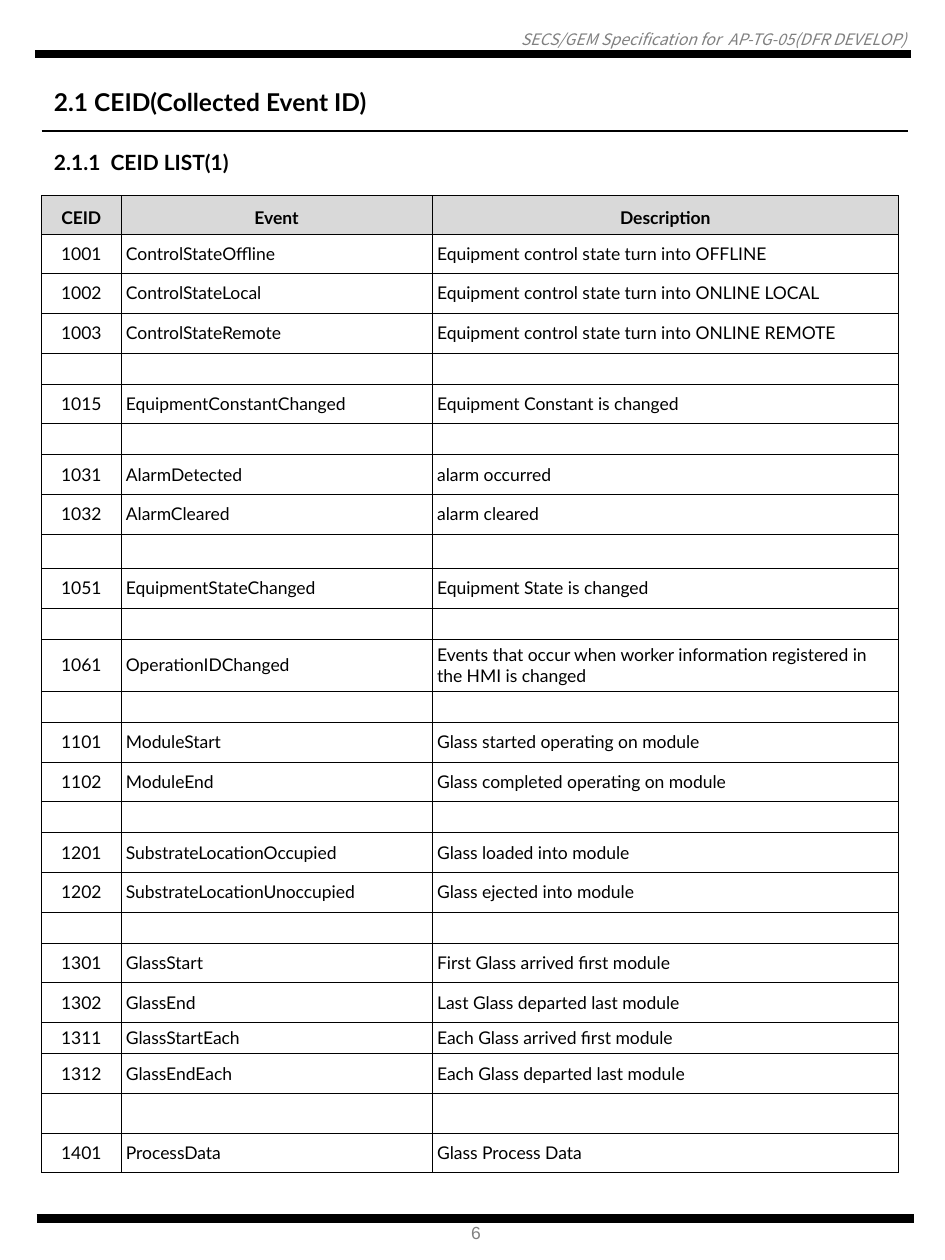
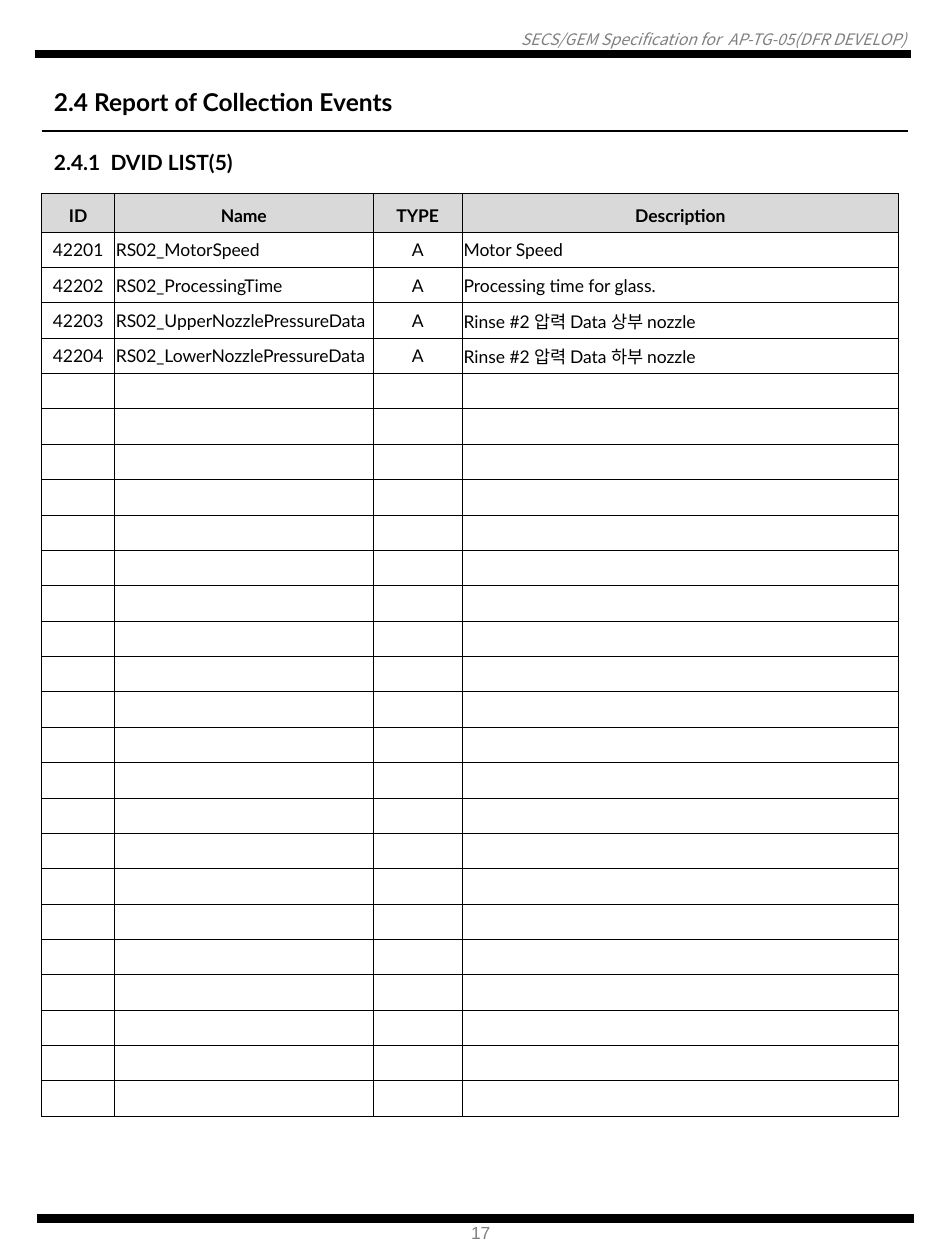
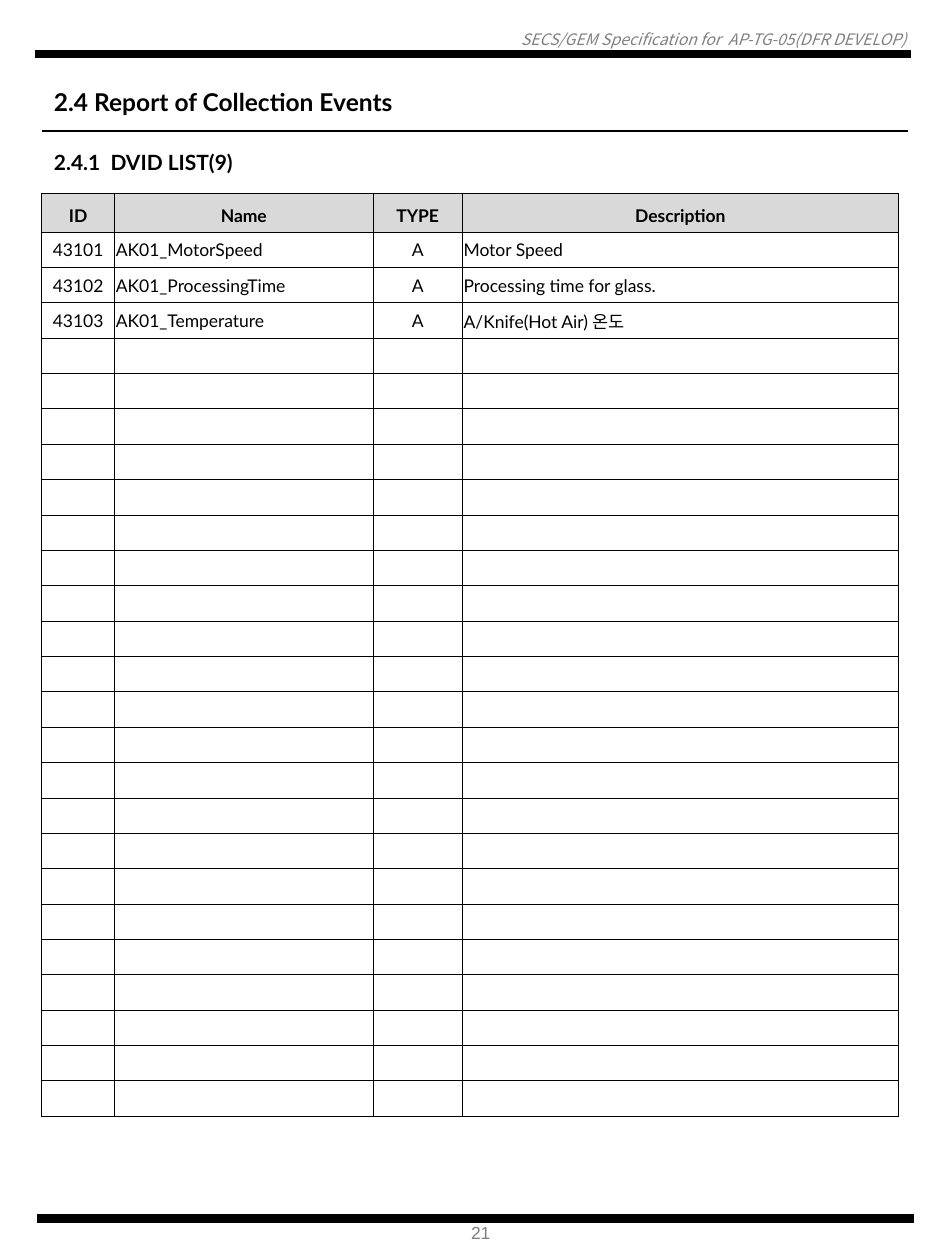
from dataclasses import dataclass

from lxml import etree
from pptx import Presentation
from pptx.dml.color import RGBColor
from pptx.enum.shapes import MSO_CONNECTOR
from pptx.enum.text import MSO_ANCHOR, MSO_AUTO_SIZE, PP_ALIGN
from pptx.oxml.ns import qn
from pptx.util import Inches, Pt

LEFT, CENTER, RIGHT = PP_ALIGN.LEFT, PP_ALIGN.CENTER, PP_ALIGN.RIGHT
MIDDLE = MSO_ANCHOR.MIDDLE
GROW = MSO_AUTO_SIZE.SHAPE_TO_FIT_TEXT
STRAIGHT = MSO_CONNECTOR.STRAIGHT


@dataclass(frozen=True)
class Theme:
    """Colours, fonts, type sizes and line weights of all slides."""
    ink: RGBColor = RGBColor(0, 0, 0)
    muted: RGBColor = RGBColor(0x80, 0x80, 0x80)
    heading_fill: RGBColor = RGBColor(0xD9, 0xD9, 0xD9)
    text_font: str = "Lato"
    running_font: str = "Noto Sans CJK KR"
    number_font: str = "Arial"
    title_size: Pt = Pt(14)
    subtitle_size: Pt = Pt(12)
    body_size: Pt = Pt(10)
    running_size: Pt = Pt(9)
    heading_spacing: Pt = Pt(16)
    band: Pt = Pt(4.75)
    rule: Pt = Pt(0.75)
    border: Pt = Pt(0.25)


theme = Theme()
presentation = Presentation()
presentation.slide_width, presentation.slide_height = Inches(7.5), Inches(10)
blank_layout = presentation.slide_layouts[6]

# The page is a grid of 75 columns by 100 rows; its units are square.
UNIT = presentation.slide_width / 75
MARGIN = 3.3
RUNNING_TITLE = "SECS/GEM Specification for  AP-TG-05(DFR DEVELOP)"
# Each line: start column, end column, row, weight
PAGE_LINES = [
    (2.8, 72.3, 4.3, theme.band),
    (2.9, 72.5, 96.7, theme.band),
    (MARGIN, 72.1, 10.4, theme.rule),
]
HEADING_HEIGHT = 3.05
HEADING_INSETS = (0, 0.4, 0, 0.4)

event_rows = [
    ("CEID", "Event", "Description"),
    ("1001", "ControlStateOffline", "Equipment control state turn into OFFLINE"),
    ("1002", "ControlStateLocal", "Equipment control state turn into ONLINE LOCAL"),
    ("1003", "ControlStateRemote", "Equipment control state turn into ONLINE REMOTE"),
    (),
    ("1015", "EquipmentConstantChanged", "Equipment Constant is changed"),
    (),
    ("1031", "AlarmDetected", "alarm occurred"),
    ("1032", "AlarmCleared", "alarm cleared"),
    (),
    ("1051", "EquipmentStateChanged", "Equipment State is changed"),
    (),
    ("1061", "OperationIDChanged",
     "Events that occur when worker information registered in the HMI is changed"),
    (),
    ("1101", "ModuleStart", "Glass started operating on module"),
    ("1102", "ModuleEnd", "Glass completed operating on module"),
    (),
    ("1201", "SubstrateLocationOccupied", "Glass loaded into module"),
    ("1202", "SubstrateLocationUnoccupied", "Glass ejected into module"),
    (),
    ("1301", "GlassStart", "First Glass arrived first module"),
    ("1302", "GlassEnd", "Last Glass departed last module"),
    ("1311", "GlassStartEach", "Each Glass arrived first module"),
    ("1312", "GlassEndEach", "Each Glass departed last module"),
    (),
    ("1401", "ProcessData", "Glass Process Data"),
]
event_heights = [HEADING_HEIGHT] + [3.15 if row else 2.46 for row in event_rows[1:]]
for row_number, height in {9: 2.7, 12: 4.13, 22: 2.46, 24: 3.15}.items():
    event_heights[row_number] = height

variable_heading = ("ID", "Name", "TYPE", "Description")
rinse_rows = [
    variable_heading,
    ("42201", "RS02_MotorSpeed", "A", "Motor Speed"),
    ("42202", "RS02_ProcessingTime", "A", "Processing time for glass."),
    ("42203", "RS02_UpperNozzlePressureData", "A", "Rinse #2 압력 Data 상부 nozzle"),
    ("42204", "RS02_LowerNozzlePressureData", "A", "Rinse #2 압력 Data 하부 nozzle"),
]
air_knife_rows = [
    variable_heading,
    ("43101", "AK01_MotorSpeed", "A", "Motor Speed"),
    ("43102", "AK01_ProcessingTime", "A", "Processing time for glass."),
    ("43103", "AK01_Temperature", "A", "A/Knife(Hot Air) 온도"),
]

event_layout = {
    "top": 15.5, "columns": (6.3, 24.7, 37), "alignments": (CENTER, LEFT, LEFT),
    "heights": event_heights, "insets": (0.4, 0.4, 0.4, 0.4),
}
variable_layout = {
    "top": 15.35, "columns": (5.8, 20.5, 7.1, 34.6),
    "alignments": (CENTER, LEFT, CENTER, LEFT),
    "heights": [HEADING_HEIGHT] + [2.81] * 25, "insets": (0.1, 0.1, 0.1, 0),
}

# Each page: number, title and its width, subtitle and its width, rows, layout
pages = [
    ("6", "2.1 CEID(Collected Event ID)", 30.8,
     "2.1.1  CEID LIST(1)", 18.5, event_rows, event_layout),
    ("17", "2.4 Report of Collection Events", 32.6,
     "2.4.1  DVID LIST(5)", 18.7, rinse_rows, variable_layout),
    ("21", "2.4 Report of Collection Events", 32.6,
     "2.4.1  DVID LIST(9)", 18.7, air_knife_rows, variable_layout),
]


def grid(*counts):
    """Turn grid counts into lengths."""
    return [round(count * UNIT) for count in counts]


def write(paragraph, text, font, size, color, bold=False, italic=False):
    """Set a paragraph's text and format its runs, or its end mark if empty."""
    paragraph.text = text
    for run in paragraph.runs:
        run.font.name, run.font.size = font, size
        run.font.bold, run.font.italic = bold, italic
        run.font.color.rgb = color
        etree.SubElement(run.font._element, qn("a:ea"), typeface=theme.running_font)
    if not text:
        etree.SubElement(paragraph._p, qn("a:endParaRPr"), sz=str(size.centipoints))


for number, title, title_width, subtitle, subtitle_width, rows, layout in pages:
    slide = presentation.slides.add_slide(blank_layout)

    for start, end, row, weight in PAGE_LINES:
        line = slide.shapes.add_connector(STRAIGHT, *grid(start, row, end, row))
        line.line.color.rgb = theme.ink
        line.line.width = weight
        etree.SubElement(line._element.spPr, qn("a:effectLst"))

    running_title = slide.shapes.add_textbox(*grid(0.5, 2.4, 71.4, 1.5))
    frame = running_title.text_frame
    frame.word_wrap = True
    frame.margin_left = frame.margin_top = frame.margin_right = frame.margin_bottom = 0
    frame.paragraphs[0].alignment = RIGHT
    write(frame.paragraphs[0], RUNNING_TITLE, theme.running_font,
          theme.running_size, theme.muted, italic=True)

    labels = [
        (number, (36.4, 96.5, 3.7, 2.7), theme.number_font, theme.body_size,
         theme.muted, False),
        (title, (MARGIN, 6.4, title_width, 3.4), theme.text_font, theme.title_size,
         theme.ink, True),
        (subtitle, (MARGIN, 11.4, subtitle_width, 3), theme.text_font,
         theme.subtitle_size, theme.ink, True),
    ]
    for text, place, font, size, color, bold in labels:
        label = slide.shapes.add_textbox(*grid(*place))
        label.text_frame.word_wrap = False
        label.text_frame.auto_size = GROW
        write(label.text_frame.paragraphs[0], text, font, size, color, bold)

    columns, heights = layout["columns"], layout["heights"]
    table = slide.shapes.add_table(
        len(heights), len(columns),
        *grid(MARGIN, layout["top"], sum(columns), sum(heights))).table
    table.first_row = table.horz_banding = False
    for column, width in zip(table.columns, grid(*columns)):
        column.width = width
    for row_number, (row, height) in enumerate(zip(table.rows, grid(*heights))):
        row.height = height
        heading = row_number == 0
        values = rows[row_number] if row_number < len(rows) else ()
        insets = HEADING_INSETS if heading else layout["insets"]
        for column_number, cell in enumerate(row.cells):
            (cell.margin_left, cell.margin_top,
             cell.margin_right, cell.margin_bottom) = grid(*insets)
            cell.vertical_anchor = MIDDLE
            properties = cell._tc.get_or_add_tcPr()
            for side in ("a:lnL", "a:lnR", "a:lnT", "a:lnB"):
                border = etree.SubElement(properties, qn(side), w=str(theme.border))
                border_fill = etree.SubElement(border, qn("a:solidFill"))
                etree.SubElement(border_fill, qn("a:srgbClr"), val=str(theme.ink))
            paragraph = cell.text_frame.paragraphs[0]
            if heading:
                cell.fill.solid()
                cell.fill.fore_color.rgb = theme.heading_fill
                paragraph.alignment = CENTER
                paragraph.line_spacing = theme.heading_spacing
            else:
                cell.fill.background()
                paragraph.alignment = layout["alignments"][column_number]
            write(paragraph, values[column_number] if values else "",
                  theme.text_font, theme.body_size, theme.ink, bold=heading)

presentation.save("out.pptx")
